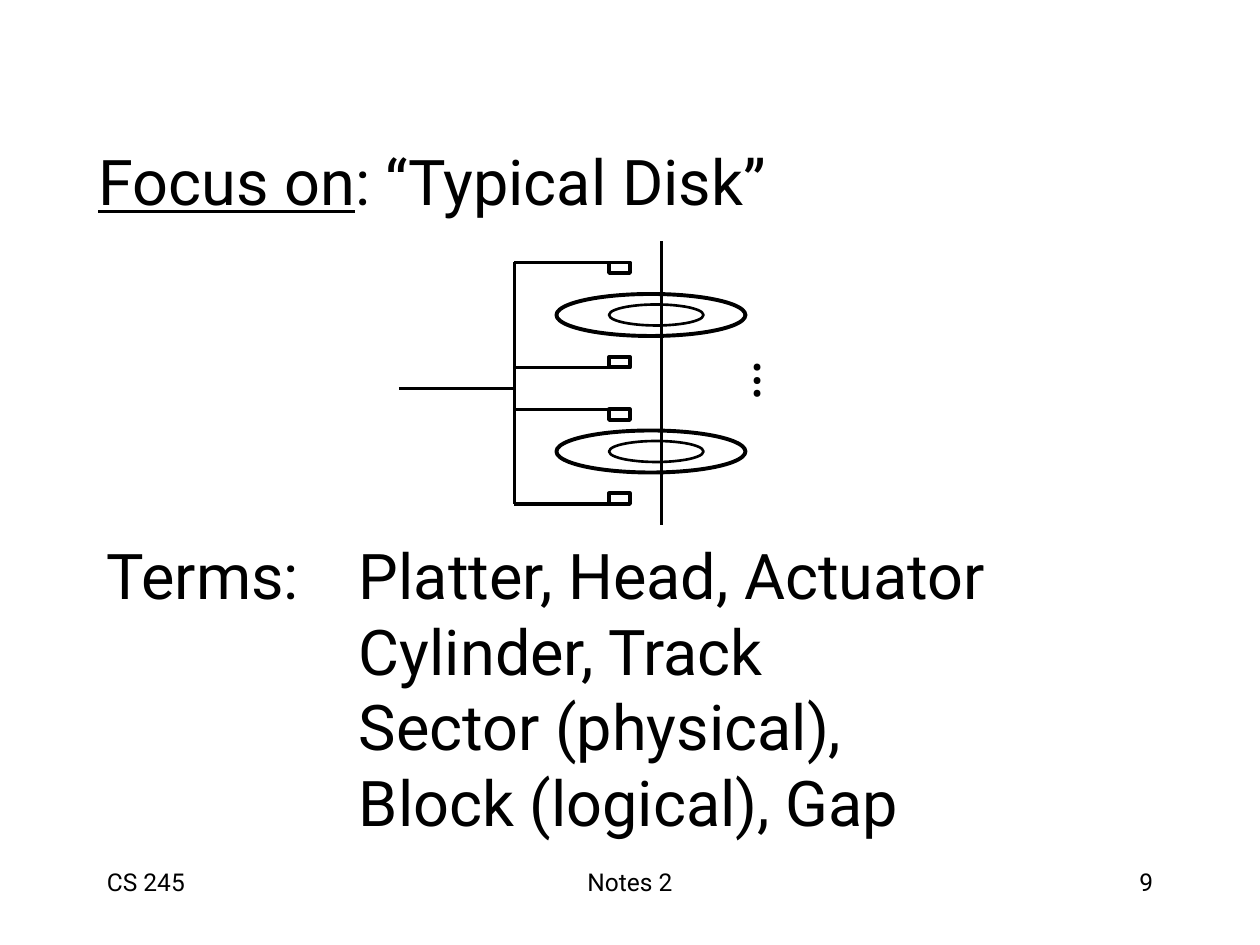
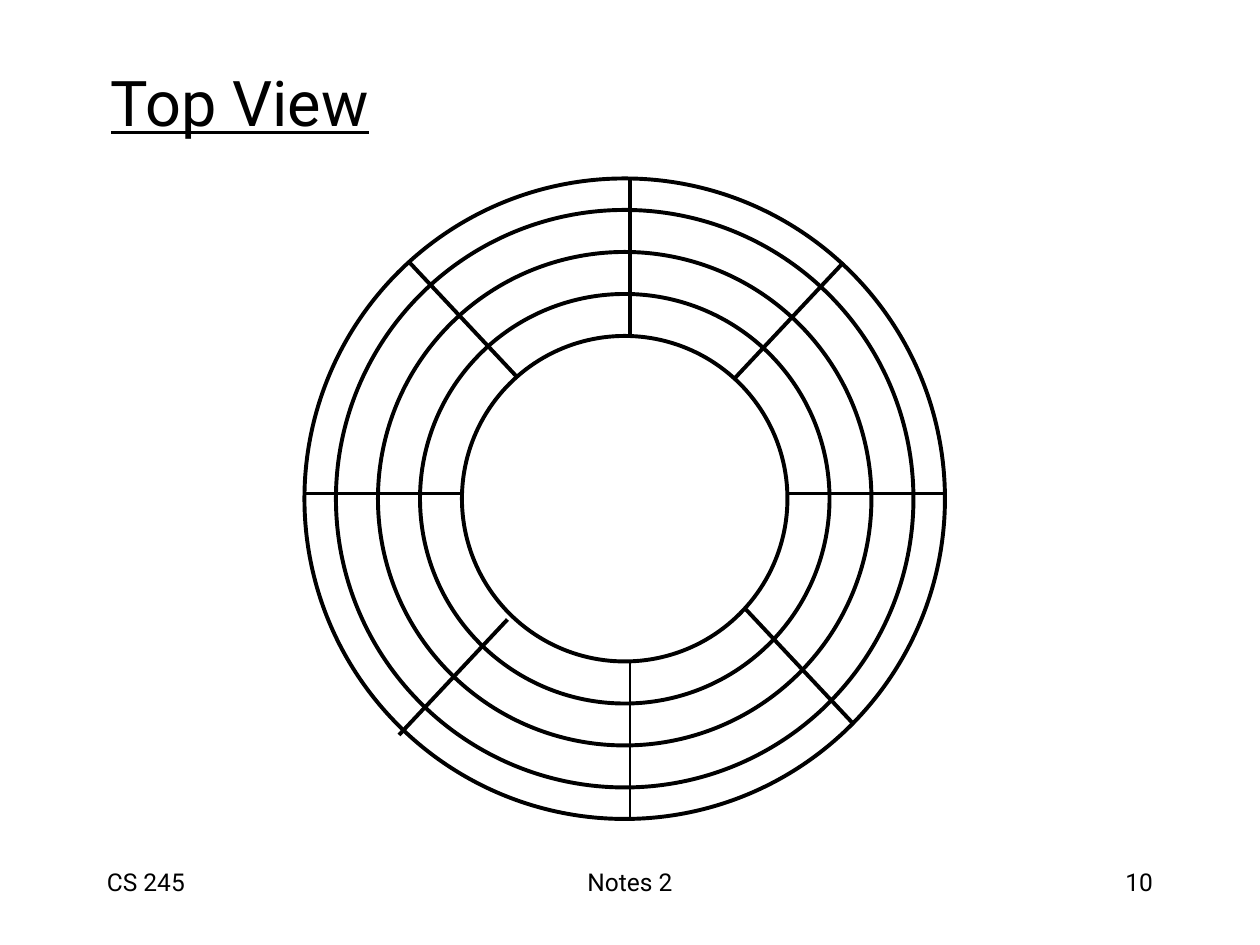
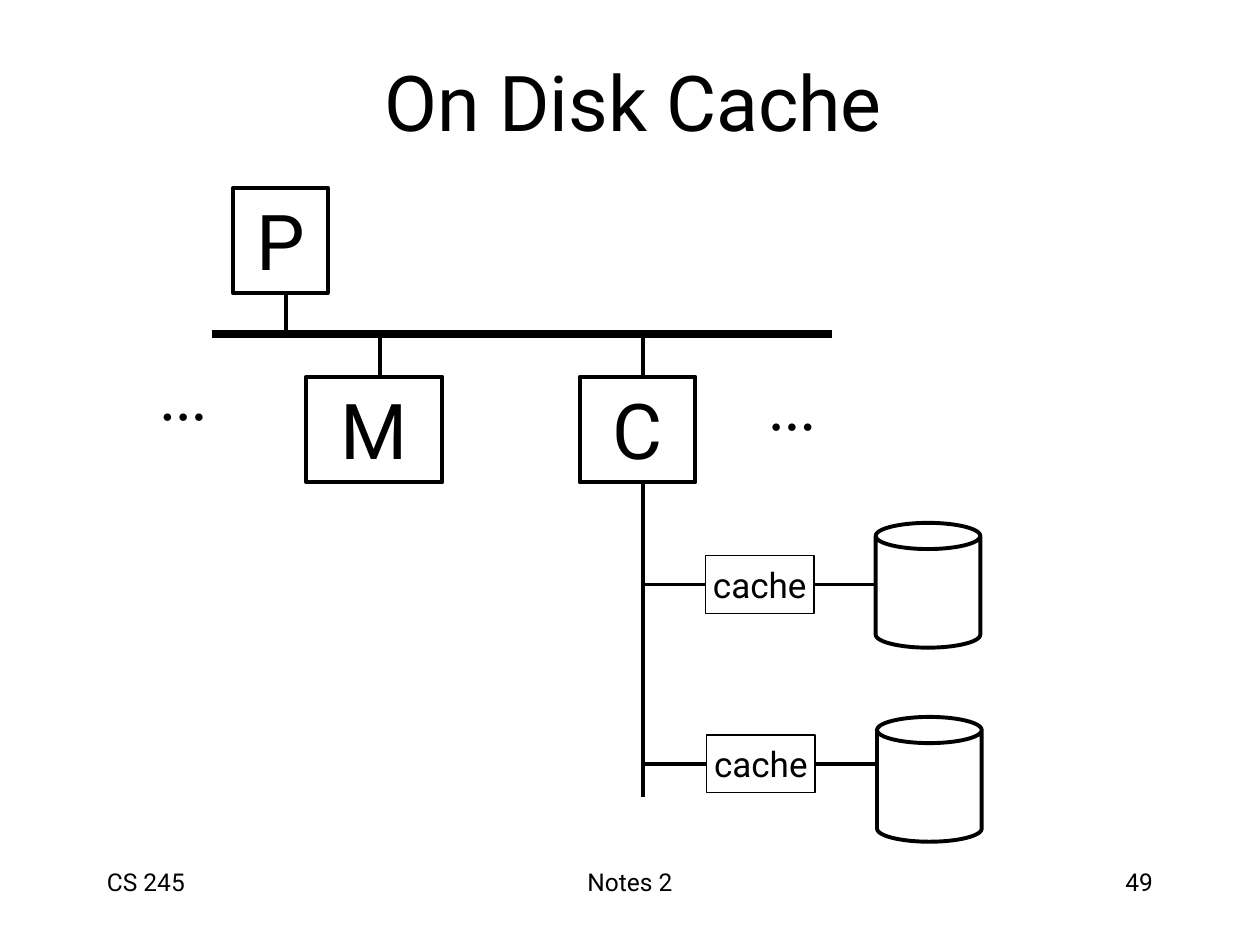
"""Build three lecture slides on disk structure and disk caches."""
from lxml import etree
from pptx import Presentation
from pptx import util as u
from pptx.dml import color
from pptx.enum import shapes, text
from pptx.oxml import ns

BLACK, WHITE = "000000", "FFFFFF"
LINE = shapes.MSO_CONNECTOR.STRAIGHT
RECTANGLE = shapes.MSO_SHAPE.RECTANGLE
OVAL = shapes.MSO_SHAPE.OVAL
CAN = shapes.MSO_SHAPE.CAN
LEFT, CENTER, RIGHT = text.PP_ALIGN.LEFT, text.PP_ALIGN.CENTER, text.PP_ALIGN.RIGHT
TOP, MIDDLE = text.MSO_ANCHOR.TOP, text.MSO_ANCHOR.MIDDLE
rgb = color.RGBColor.from_string


def draw(slide, kind, box, width=2.25, fill=None):
    """Add a line from x1, y1, x2, y2 or a shape at left, top, width, height."""
    points = [u.Pt(value) for value in box]
    if kind is LINE:
        shape = slide.shapes.add_connector(kind, *points)
    else:
        shape = slide.shapes.add_shape(kind, *points)
        shape.shadow.inherit = False
        if fill:
            shape.fill.solid()
            shape.fill.fore_color.rgb = rgb(fill)
        else:
            shape.fill.background()
    shape.line.color.rgb = rgb(BLACK)
    shape.line.width = u.Pt(width)
    if kind is LINE:
        etree.SubElement(shape._element.spPr, ns.qn("a:effectLst"))
    return shape


def write(shape, words, size, align=LEFT, anchor=TOP, wrap=False, font="Roboto", tab=None):
    """Fill a shape with text, one paragraph for each line of the words."""
    frame = shape.text_frame
    frame.text = words
    frame.word_wrap = wrap
    frame.auto_size = text.MSO_AUTO_SIZE.NONE
    frame.vertical_anchor = anchor
    frame.margin_left = frame.margin_right = u.Pt(7.2)
    frame.margin_top = frame.margin_bottom = u.Pt(3.6)
    for paragraph in frame.paragraphs:
        paragraph.alignment = align
        if tab:
            tabs = etree.SubElement(paragraph._p.get_or_add_pPr(), ns.qn("a:tabLst"))
            etree.SubElement(tabs, ns.qn("a:tab"), pos=str(u.Pt(tab)), algn="l")
        paragraph.font.name = font
        paragraph.font.size = u.Pt(size)
        paragraph.font.color.rgb = rgb(BLACK)
    return shape


presentation = Presentation()
presentation.slide_width, presentation.slide_height = u.Pt(720), u.Pt(540)

slides = []
for number, title, box, size, align, anchor in [
    ("9", "Focus on", (49, 77.8, 407.5, 50.4), 36, LEFT, TOP),
    ("10", "Top View", (56.2, 32.4, 167, 50.4), 36, LEFT, TOP),
    ("49", "On Disk Cache", (56.2, 27.4, 612, 60.5), 44, CENTER, MIDDLE),
]:
    slide = presentation.slides.add_slide(presentation.slide_layouts[5])
    slides.append(slide)
    heading = slide.shapes.title
    heading.left, heading.top, heading.width, heading.height = [u.Pt(value) for value in box]
    write(heading, title, size, align, anchor)
    for words, left, width, side in [
        ("CS 245", 54, 150, LEFT), ("Notes 2", 246, 228, CENTER), (number, 516, 150, RIGHT),
    ]:
        footer = slide.shapes.add_textbox(u.Pt(left), u.Pt(492), u.Pt(width), u.Pt(36))
        write(footer, words, 14, side, wrap=True)

disk, top_view, cache_slide = slides
for slide in (disk, top_view):
    slide.shapes.title.text_frame.paragraphs[0].runs[0].font.underline = True
disk.shapes.title.text_frame.paragraphs[0].add_run().text = ": “Typical Disk”"

terms = disk.shapes.add_textbox(u.Pt(54), u.Pt(303.1), u.Pt(543.6), u.Pt(180))
write(terms, "Terms:\tPlatter, Head, Actuator\n\tCylinder, Track\n"
             "\tSector (physical),\n\tBlock (logical), Gap", 36, tab=144)

draw(disk, LINE, (228, 222, 294, 222))
draw(disk, LINE, (294, 150, 294, 288))
for arm in (150, 210, 234, 288):
    draw(disk, LINE, (294, arm, 360, arm))
for platter in (168, 246):
    draw(disk, OVAL, (318, platter, 108, 24), fill=WHITE)
    draw(disk, OVAL, (348, platter + 6, 54, 12), 1.5, WHITE)
draw(disk, LINE, (378, 138, 378, 300))
for head in (150, 204, 234, 282):
    draw(disk, RECTANGLE, (348, head, 12, 6), fill=WHITE)
more_platters = disk.shapes.add_textbox(u.Pt(424.1), u.Pt(194.4), u.Pt(42.5), u.Pt(50.4))
write(more_platters, "…", 36).rotation = 90

for inset in (0, 18, 42, 66, 90):
    diameter = 366 - 2 * inset
    draw(top_view, OVAL, (174 + inset, 102 + inset, diameter, diameter), fill=WHITE)
draw(top_view, LINE, (360, 468, 360, 378), 0.75)
for sector_edge in [
    (360, 192, 360, 102), (540, 282, 450, 282), (264, 282, 174, 282), (482, 150, 420, 216),
    (290, 354, 228, 420), (426, 348, 488, 414), (234, 150, 296, 216),
]:
    draw(top_view, LINE, sector_edge)

for name, left, top, width in [
    ("P", 133.2, 107.2, 54), ("M", 175, 215.2, 77.8), ("C", 331.2, 215.2, 66.2),
]:
    unit = draw(cache_slide, RECTANGLE, (left, top, width, 60.4))
    write(unit, name, 44, CENTER, wrap=True)

BUS, TRUNK = 190.8, 367.2
draw(cache_slide, LINE, (103, BUS, 103, BUS), 0.75)
draw(cache_slide, LINE, (121, BUS, 475.2, BUS), 4.5)
for x, top, bottom in [
    (163.4, 167.2, BUS), (217.4, BUS, 215.2), (TRUNK, BUS, 215.2), (TRUNK, 275.2, 455.2),
]:
    draw(cache_slide, LINE, (x, top, x, bottom))

for left, top in [(432, 206.6), (84.2, 200.9)]:
    dots = cache_slide.shapes.add_textbox(u.Pt(left), u.Pt(top), u.Pt(41), u.Pt(50.4))
    write(dots, "...", 36, font="Times New Roman")

for left, top, can_left, can_top in [
    (403.2, 317.5, 500.4, 298.8), (403.8, 420, 501.2, 409.7),
]:
    draw(cache_slide, CAN, (can_left, can_top, 59.8, 71.3))
    cache = draw(cache_slide, RECTANGLE, (left, top, 62, 33), 0.75, WHITE)
    write(cache, "cache", 20, CENTER, MIDDLE)
    middle = top + 16.5
    draw(cache_slide, LINE, (TRUNK, middle, left, middle)).end_connect(cache, 1)
    draw(cache_slide, LINE, (left + 62, middle, can_left, middle)).begin_connect(cache, 3)

presentation.save("out.pptx")
